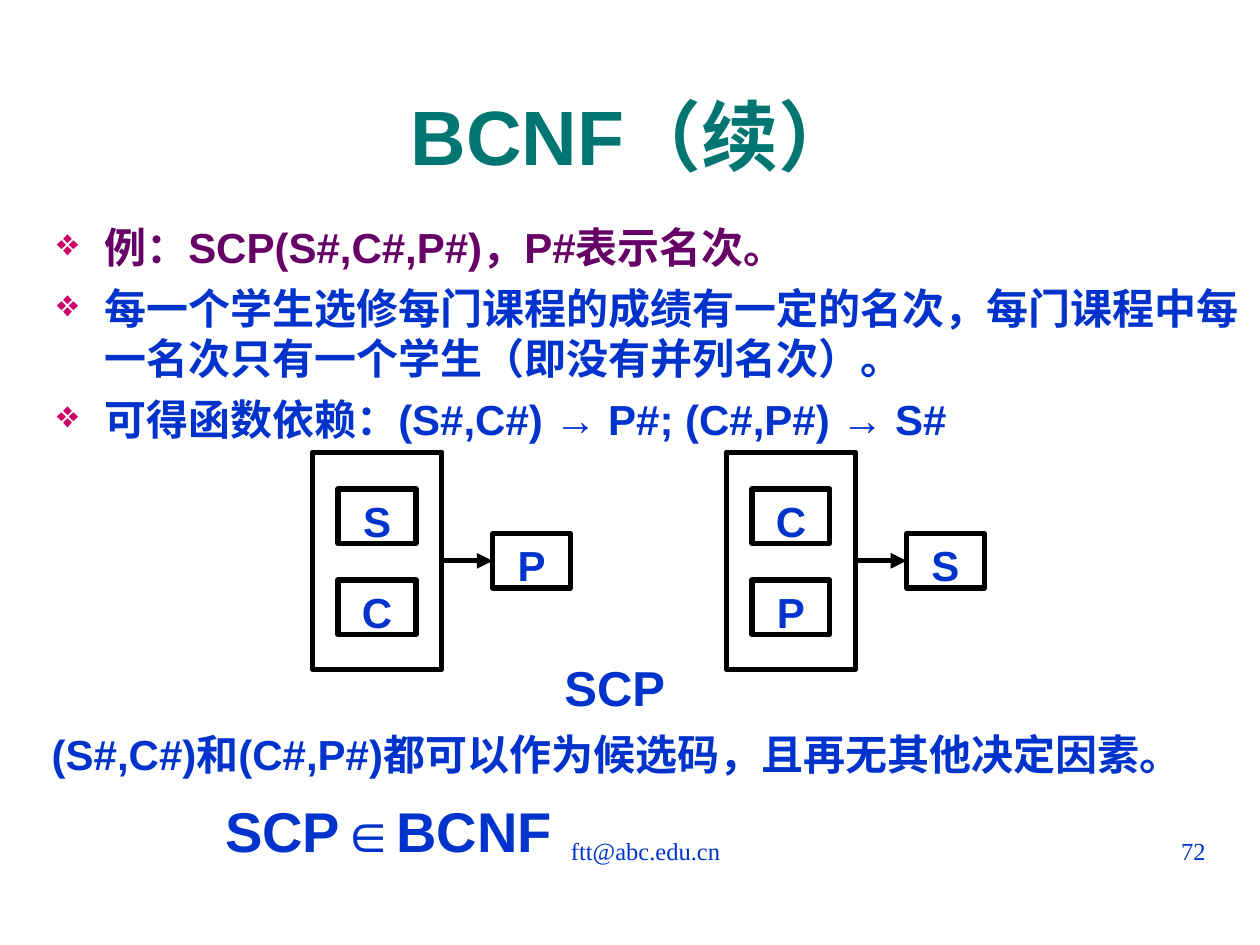
import pptx
import pptx.util
from pptx.dml.color import RGBColor
from pptx.enum.shapes import MSO_CONNECTOR, MSO_SHAPE
from pptx.enum.text import MSO_ANCHOR, MSO_AUTO_SIZE, PP_ALIGN
from pptx.oxml.ns import qn
from lxml import etree

Pt = pptx.util.Pt
BLUE, PURPLE, TEAL, PINK, BLACK = "0033CC", "660066", "007572", "CC0066", "000000"

TITLE = "BCNF（续）"
POINTS = [
    ("例：SCP(S#,C#,P#)，P#表示名次。", PURPLE),
    ("每一个学生选修每门课程的成绩有一定的名次，"
     "每门课程中每一名次只有一个学生（即没有并列名次）。", BLUE),
    ("可得函数依赖：(S#,C#) → P#; (C#,P#) → S#", BLUE),
]
DEPENDENCIES = [(("S", "C"), "P"), (("C", "P"), "S")]
RELATION = "SCP"
CANDIDATE_KEYS = "(S#,C#)和(C#,P#)都可以作为候选码，且再无其他决定因素。"
CONCLUSION = "SCP∈BCNF"
FOOTER = "ftt@abc.edu.cn"
PAGE_NUMBER = "72"

# Dependency diagrams
FIRST_LEFT, DIAGRAM_TOP, DIAGRAM_PITCH = 178.5, 258.5, 236.5
FRAME_WIDTH, FRAME_HEIGHT = 74, 124
BOX_WIDTH, BOX_HEIGHT = 44.5, 31
BOX_TOP, BOX_PITCH = 21, 52
RESULT_OFFSET = 103


def color(value):
    return RGBColor.from_string(value)


def write(paragraph, text, size=24, font="Arial", fill=BLUE, bold=True,
          align=PP_ALIGN.LEFT, before=0, spacing=1.0):
    paragraph.alignment = align
    paragraph.space_before = Pt(before)
    paragraph.line_spacing = spacing
    run = paragraph.add_run()
    run.text = text
    run.font.size = Pt(size)
    run.font.name = font
    run.font.bold = bold
    run.font.color.rgb = color(fill)


def add_text(slide, box, text, **style):
    frame = slide.shapes.add_textbox(*map(Pt, box)).text_frame
    frame.word_wrap = True
    write(frame.paragraphs[0], text, **style)


def add_bullet(paragraph):
    properties = paragraph._p.get_or_add_pPr()
    properties.set("marL", str(Pt(27)))
    properties.set("indent", str(-Pt(27)))
    bullet_color = etree.SubElement(properties, qn("a:buClr"))
    etree.SubElement(bullet_color, qn("a:srgbClr"), val=PINK)
    etree.SubElement(properties, qn("a:buSzPct"), val="90000")
    etree.SubElement(properties, qn("a:buChar"), char="❖")


def add_box(slide, left, top, width, height, label=None):
    box = slide.shapes.add_shape(MSO_SHAPE.RECTANGLE, *map(Pt, (left, top, width, height)))
    box.shadow.inherit = False
    box.fill.background()
    box.line.color.rgb = color(BLACK)
    box.line.width = Pt(3)
    if label:
        box.text_frame.word_wrap = True
        box.text_frame.vertical_anchor = MSO_ANCHOR.TOP
        write(box.text_frame.paragraphs[0], label, align=PP_ALIGN.CENTER)
    return box


def add_arrow(slide, source, target):
    """Join the right side of source to the left side of target."""
    arrow = slide.shapes.add_connector(MSO_CONNECTOR.STRAIGHT, 0, 0, 0, 0)
    arrow.begin_connect(source, 3)
    arrow.end_connect(target, 1)
    arrow.line.color.rgb = color(BLACK)
    arrow.line.width = Pt(3)
    etree.SubElement(arrow.line._get_or_add_ln(), qn("a:tailEnd"), type="triangle")
    etree.SubElement(arrow._element.spPr, qn("a:effectLst"))


def add_dependency(slide, left, determinants, result):
    frame = add_box(slide, left, DIAGRAM_TOP, FRAME_WIDTH, FRAME_HEIGHT)
    inner_left = left + (FRAME_WIDTH - BOX_WIDTH) / 2
    for row, attribute in enumerate(determinants):
        add_box(slide, inner_left, DIAGRAM_TOP + BOX_TOP + row * BOX_PITCH,
                BOX_WIDTH, BOX_HEIGHT, attribute)
    result_top = DIAGRAM_TOP + (FRAME_HEIGHT - BOX_HEIGHT) / 2
    result_box = add_box(slide, left + RESULT_OFFSET, result_top,
                         BOX_WIDTH, BOX_HEIGHT, result)
    add_arrow(slide, frame, result_box)


def main():
    deck = pptx.Presentation()
    deck.slide_width, deck.slide_height = Pt(720), Pt(540)
    slide = deck.slides.add_slide(deck.slide_layouts[5])

    title = slide.shapes.title
    title.left, title.top, title.width, title.height = map(Pt, (25.5, 32, 672.5, 90))
    title.text_frame.auto_size = MSO_AUTO_SIZE.NONE
    title.text_frame.vertical_anchor = MSO_ANCHOR.MIDDLE
    write(title.text_frame.paragraphs[0], TITLE, size=44, fill=TEAL, align=PP_ALIGN.CENTER)

    body = slide.shapes.add_textbox(*map(Pt, (25.5, 123, 694.5, 306))).text_frame
    body.word_wrap = True
    for index, (point, fill) in enumerate(POINTS):
        paragraph = body.add_paragraph() if index else body.paragraphs[0]
        write(paragraph, point, fill=fill, before=6)
        add_bullet(paragraph)

    for index, (determinants, result) in enumerate(DEPENDENCIES):
        add_dependency(slide, FIRST_LEFT + index * DIAGRAM_PITCH, determinants, result)

    add_text(slide, (314.5, 372, 73.5, 31), RELATION, size=28, align=PP_ALIGN.CENTER)
    add_text(slide, (22.5, 418.5, 690, 37), CANDIDATE_KEYS, spacing=0.8)
    add_text(slide, (121.5, 451.5, 220, 46), CONCLUSION, size=32)

    small = {"size": 14, "font": "Times New Roman", "bold": False}
    add_text(slide, (263.5, 474, 211, 37.5), FOOTER, align=PP_ALIGN.CENTER, **small)
    add_text(slide, (516, 474, 180, 37.5), PAGE_NUMBER, align=PP_ALIGN.RIGHT, **small)
    deck.save("out.pptx")


if __name__ == "__main__":
    main()
